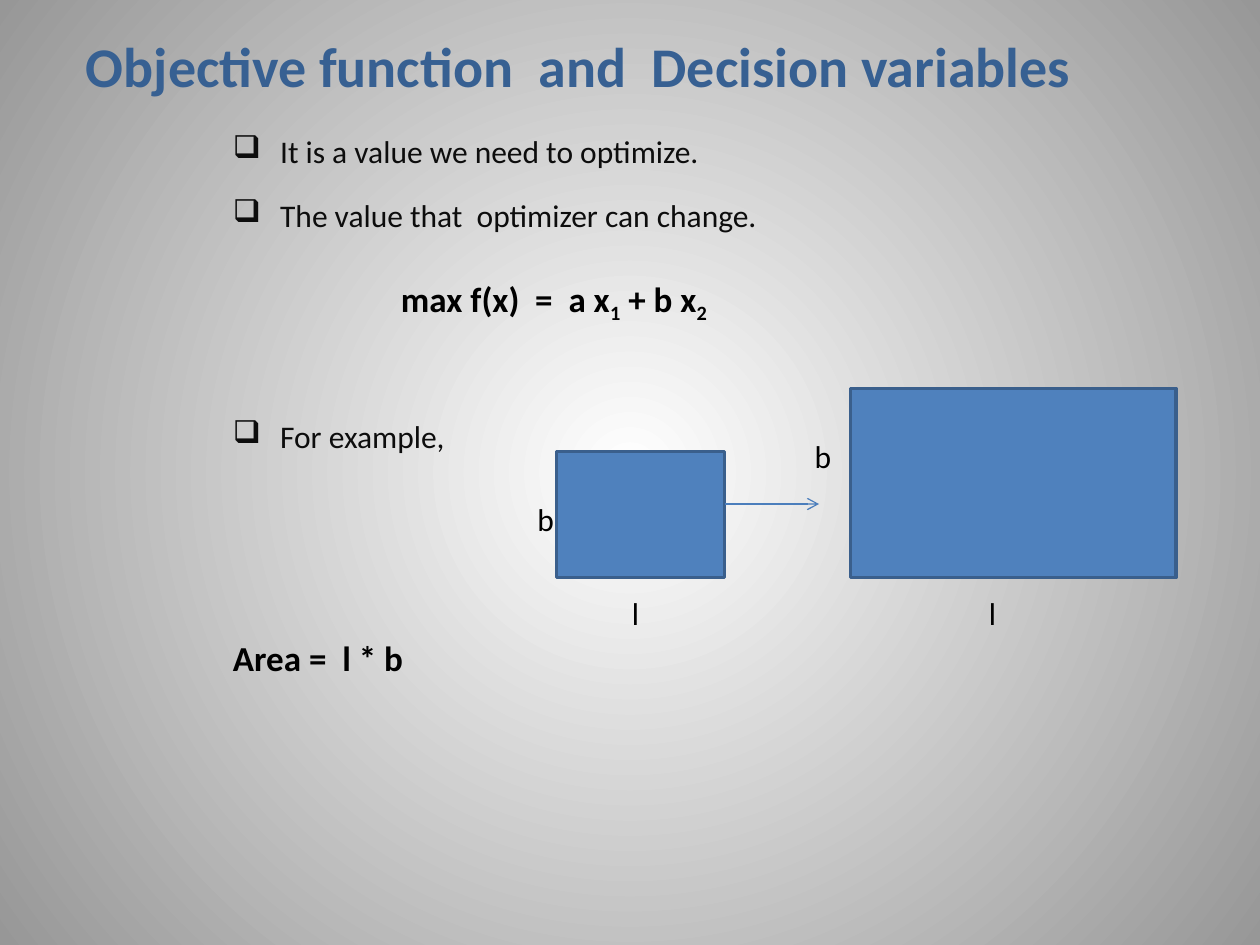
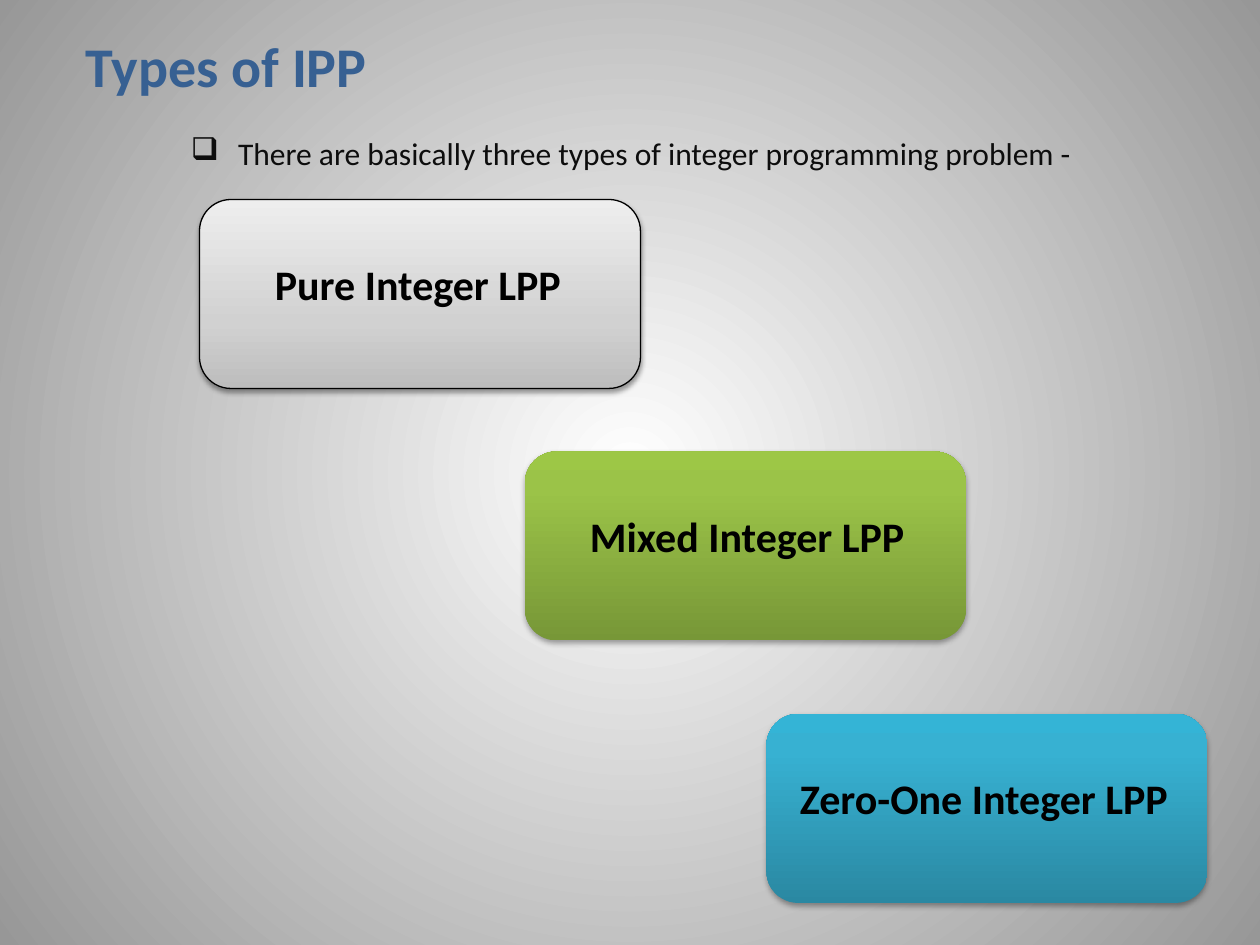
from lxml import etree
from pptx import Presentation
from pptx.dml.color import RGBColor
from pptx.enum.shapes import MSO_CONNECTOR, MSO_SHAPE
from pptx.enum.text import MSO_ANCHOR, PP_ALIGN
from pptx.oxml.ns import qn
from pptx.util import Emu, Pt

SCALE = 914400 // 120  # EMU in one px
WIDE, HIGH = 1200, 900
FONT = "Calibri"
RECT, ROUND = MSO_SHAPE.RECTANGLE, MSO_SHAPE.ROUNDED_RECTANGLE
LINE = MSO_CONNECTOR.STRAIGHT
TOP, BOTTOM = MSO_ANCHOR.TOP, MSO_ANCHOR.BOTTOM
LEFT, JUST = PP_ALIGN.LEFT, PP_ALIGN.JUSTIFY

BLACK = RGBColor(0x00, 0x00, 0x00)
WHITE = RGBColor(0xFF, 0xFF, 0xFF)
EDGE = RGBColor(0x97, 0x97, 0x97)
NAVY = RGBColor(0x37, 0x60, 0x92)
INK = RGBColor(0x0D, 0x0D, 0x0D)
BLUE = RGBColor(0x4F, 0x81, 0xBD)
RIM = RGBColor(0x3A, 0x5F, 0x8C)
ARROW = RGBColor(0x4B, 0x7E, 0xBC)
GRAYS = ((0, RGBColor(0xBD, 0xBD, 0xBD)), (35, RGBColor(0xD1, 0xD1, 0xD1)),
         (100, RGBColor(0xEE, 0xEE, 0xEE)))
GREENS = ((0, RGBColor(0x77, 0x97, 0x37)), (80, RGBColor(0x9B, 0xC3, 0x48)),
          (100, RGBColor(0x9D, 0xC7, 0x46)))
TEALS = ((0, RGBColor(0x2A, 0x88, 0xA2)), (80, RGBColor(0x37, 0xB1, 0xD2)),
         (100, RGBColor(0x34, 0xB4, 0xD6)))


def px(*sizes):
    return [Emu(size * SCALE) for size in sizes]


def add(parent, tag, **attrs):
    node = etree.SubElement(parent, qn(tag))
    for key, value in attrs.items():
        node.set(key, str(value))
    return node


def tint(parent, color, alpha=None):
    node = add(parent, "a:srgbClr", val=color)
    if alpha:
        add(node, "a:alpha", val=alpha * 1000)


def blend(fill, root, stops, radial=False):
    """Fill with a gradient, upwards or from the centre out."""
    fill.gradient()
    grad = next(root.iter(qn("a:gradFill")))
    for child in list(grad):
        grad.remove(child)
    rows = add(grad, "a:gsLst")
    for place, color in stops:
        tint(add(rows, "a:gs", pos=place * 1000), color)
    if radial:
        ring = add(grad, "a:path", path="circle")
        add(ring, "a:fillToRect", l=50000, t=50000, r=50000, b=50000)
    else:
        add(grad, "a:lin", ang=270 * 60000, scaled=0)


def write(slide, box, runs, size, color=BLACK, bold=False, anchor=TOP,
          bullet=False):
    """Text box of one paragraph; a run is (text, is subscript)."""
    frame = slide.shapes.add_textbox(*px(*box)).text_frame
    frame.word_wrap = True
    frame.vertical_anchor = anchor
    para = frame.paragraphs[0]
    para.alignment = JUST if bullet else LEFT
    if bullet:
        props = para._p.get_or_add_pPr()
        props.set("marL", str(45 * SCALE))
        props.set("indent", str(-45 * SCALE))
        add(props, "a:buChar", char="❑")
    for text, low in runs:
        run = para.add_run()
        run.text = text
        font = run.font
        font.name, font.size, font.bold = FONT, Pt(size), bold
        font.color.rgb = color
        if low:
            font._element.set("baseline", "-25000")


def point(slide, left, top, text):
    write(slide, (left, top, 900, 48), [(text, False)], 18, INK, bullet=True)


def label(slide, left, top, text):
    write(slide, (left, top, 60, 48), [(text, False)], 18)


def start(deck, title):
    """Slide with the shared background and title."""
    slide = deck.slides.add_slide(deck.slide_layouts[6])
    blend(slide.background.fill, slide._element,
          ((0, WHITE), (100, EDGE)), radial=True)
    write(slide, (70, 0, 1080, 100), [(title, False)], 32, NAVY, True, BOTTOM)
    return slide


def plate(slide, box):
    shape = slide.shapes.add_shape(RECT, *px(*box))
    shape.shadow.inherit = False
    shape.fill.solid()
    shape.fill.fore_color.rgb = BLUE
    shape.line.color.rgb = RIM
    shape.line.width = Pt(2)


def growth(slide, left, top):
    """Small plate, arrow and large plate with their side labels."""
    plate(slide, (left, top + 60, 160, 120))
    plate(slide, (left + 280, top, 310, 180))
    line = slide.shapes.add_connector(
        LINE, *px(left + 160, top + 110, left + 250, top + 110))
    line.line.color.rgb = ARROW
    line.line.width = Pt(0.75)
    add(line.line._get_or_add_ln(), "a:tailEnd", type="arrow")
    add(line._element.spPr, "a:effectLst")
    for across, down, text in ((-30, 100, "b"), (60, 190, "l"),
                               (234, 40, "b"), (400, 190, "l")):
        label(slide, left + across, top + down, text)


def card(slide, left, top, stops, text, inset, drop, edge=None, alpha=35):
    """Rounded card with gradient, soft shadow and its name."""
    shape = slide.shapes.add_shape(ROUND, *px(left, top, 420, 180))
    blend(shape.fill, shape._element.spPr, stops)
    if edge is None:
        shape.line.fill.background()
    else:
        shape.line.color.rgb = edge
        shape.line.width = Pt(0.75)
    shape.shadow.inherit = False
    effects = shape._element.spPr.find(qn("a:effectLst"))
    shade = add(effects, "a:outerShdw", blurRad=Pt(3.1), dist=Pt(1.7),
                dir=90 * 60000, rotWithShape=0)
    tint(shade, BLACK, alpha)
    write(slide, (left + inset, top + drop, 380, 60), [(text, False)], 24,
          bold=True)


def goals(deck):
    slide = start(deck, "Objective function  and  Decision variables")
    for top, text in ((120, "It is a value we need to optimize."),
                      (181, "The value that  optimizer can change."),
                      (391, "For example,")):
        point(slide, 210, top, text)
    formula = [("max f(x)  =  a x", False), ("1", True),
               (" + b x", False), ("2", True)]
    write(slide, (370, 258, 500, 53), formula, 20, bold=True)
    growth(slide, 530, 370)
    write(slide, (210, 600, 500, 53), [("Area =  l * b", False)], 20,
          bold=True)


def types(deck):
    slide = start(deck, "Types of IPP")
    point(slide, 170, 122,
          "There are basically three types of integer programming problem -")
    card(slide, 190, 190, GRAYS, "Pure Integer LPP", 60, 50, BLACK, 38)
    card(slide, 500, 430, GREENS, "Mixed Integer LPP", 50, 50)
    card(slide, 730, 680, TEALS, "Zero-One Integer LPP", 20, 50)


def main():
    deck = Presentation()
    deck.slide_width, deck.slide_height = px(WIDE, HIGH)
    goals(deck)
    types(deck)
    deck.save("out.pptx")


if __name__ == "__main__":
    main()
